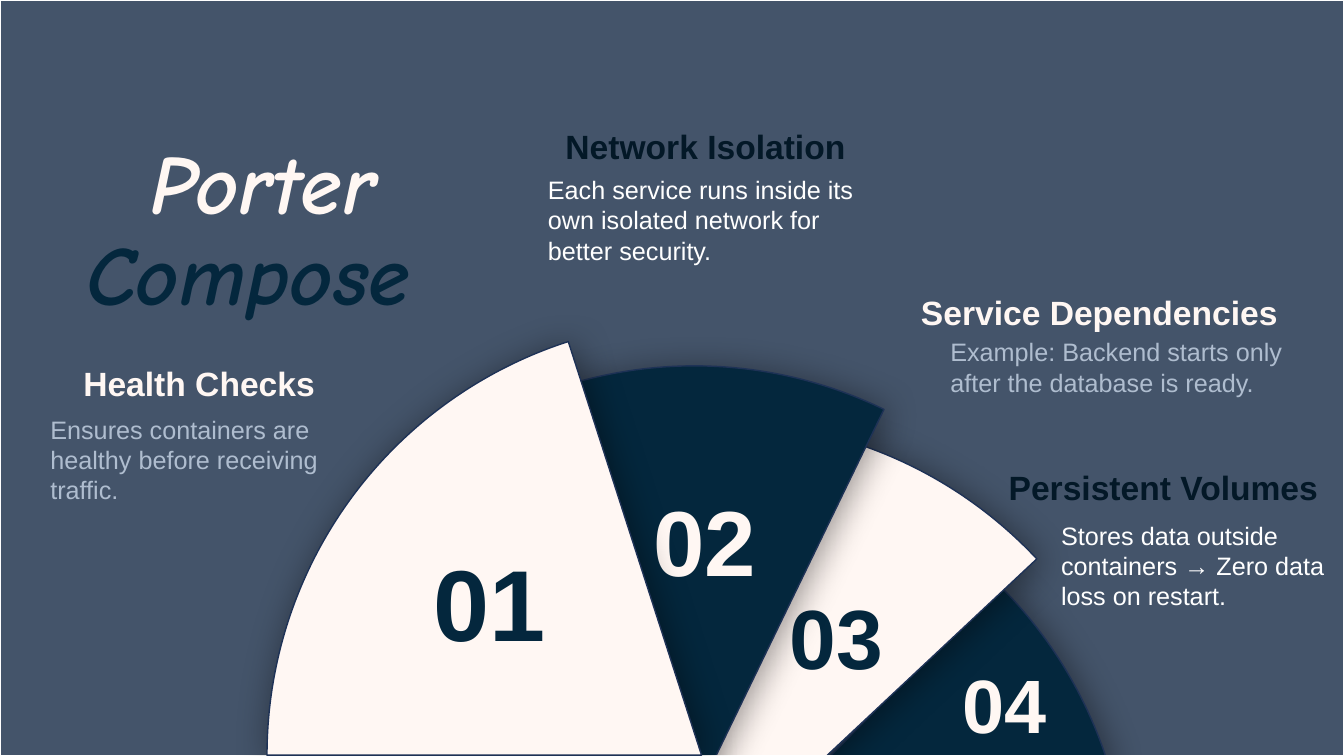
from dataclasses import dataclass

from lxml.etree import SubElement
from pptx import Presentation
from pptx.dml.color import RGBColor as Rgb
from pptx.enum.shapes import MSO_SHAPE as Shape
from pptx.enum.text import MSO_ANCHOR as Anchor, MSO_AUTO_SIZE as AutoSize, PP_ALIGN as Align
from pptx.oxml.ns import qn
from pptx.util import Cm, Pt


@dataclass(frozen=True)
class Theme:
    """Colours, fonts and type sizes of the slide."""
    background: str = "44546A"
    navy: str = "04273D"
    cream: str = "FFF7F3"
    edge: str = "1E3256"
    ink: str = "031827"
    white: str = "FFFFFF"
    mist: str = "AFBDCF"
    font: str = "Arial"
    title_font: str = "Comic Neue"
    title_size: int = 60
    heading_size: int = 24
    body_size: int = 18


def write_text(para, text, *, size, color, font, bold=False, italic=False):
    """Add one formatted span to a paragraph."""
    span = para.add_run()
    span.text = text
    span.font.size = Pt(size)
    span.font.name = font
    span.font.bold = bold
    span.font.italic = italic
    span.font.color.rgb = Rgb.from_string(color)


class SlideBuilder:
    """Draws styled elements on one slide."""

    def __init__(self, deck, theme):
        self.theme = theme
        self.slide = deck.slides.add_slide(deck.slide_layouts[5])
        fill = self.slide.background.fill
        fill.solid()
        fill.fore_color.rgb = Rgb.from_string(theme.background)

    def title(self, words, left, top, width, height):
        box = self.slide.shapes.title
        box.left, box.top, box.width, box.height = map(Cm, (left, top, width, height))
        frame = box.text_frame
        frame.word_wrap = True
        frame.auto_size = AutoSize.NONE
        frame.vertical_anchor = Anchor.MIDDLE
        para = frame.paragraphs[0]
        para.alignment = Align.CENTER
        para.line_spacing = 0.9
        for word, color in words:
            write_text(para, word, size=self.theme.title_size, color=color,
                       font=self.theme.title_font, bold=True, italic=True)

    def text(self, text, left, top, width, height, align=Align.LEFT, **style):
        box = self.slide.shapes.add_textbox(*map(Cm, (left, top, width, height)))
        frame = box.text_frame
        frame.word_wrap = True
        frame.auto_size = AutoSize.SHAPE_TO_FIT_TEXT
        para = frame.paragraphs[0]
        para.alignment = align
        write_text(para, text, font=self.theme.font, **style)

    def outline(self, shape, color):
        shape.shadow.inherit = False
        shape.line.color.rgb = Rgb.from_string(color)
        shape.line.width = Pt(1)

    def frame(self, width, height):
        border = self.slide.shapes.add_shape(Shape.RECTANGLE, 0, 0, width, height)
        border.fill.background()
        self.outline(border, self.theme.white)

    def wedge(self, left, top, diameter, start, end, color):
        pie = self.slide.shapes.add_shape(Shape.PIE, *map(Cm, (left, top, diameter, diameter)))
        for index, degrees in enumerate((start, end)):
            pie.adjustments[index] = degrees * 0.6
        pie.fill.solid()
        pie.fill.fore_color.rgb = Rgb.from_string(color)
        self.outline(pie, self.theme.edge)
        self.soft_shadow(pie)

    def soft_shadow(self, shape):
        effects = shape.element.spPr.find(qn("a:effectLst"))
        shadow = SubElement(effects, qn("a:outerShdw"), blurRad=str(Pt(25.5)),
                            dist=str(Pt(3)), dir=str(45 * 60000), rotWithShape="0")
        color = SubElement(shadow, qn("a:srgbClr"), val="000000")
        SubElement(color, qn("a:alpha"), val="42000")

    def number(self, text, left, top, size, color):
        self.text(text, left, top, 9.19, 0.27 + size * 0.0425, align=Align.CENTER,
                  size=size, color=color, bold=True)

    def note(self, heading, heading_place, heading_color, body, body_place, body_color):
        self.text(body, *body_place, size=self.theme.body_size, color=body_color)
        self.text(heading, *heading_place, 1.27, size=self.theme.heading_size,
                  color=heading_color, bold=True)


def main():
    """Build and save the slide."""
    theme = Theme()
    deck = Presentation()
    deck.slide_width, deck.slide_height = Cm(33.87), Cm(19.05)
    page = SlideBuilder(deck, theme)
    page.title([("Porter ", theme.cream), ("Compose ", theme.navy)], -0.18, 3.45, 13.64, 4.83)

    light, dark = (theme.cream, theme.navy), (theme.navy, theme.cream)
    wedges = [
        ("04", (6.53, 11.58), (314.71, 343.34), (20.73, 16.46), 54, dark),
        ("03", (7.19, 10.62), (259.06, 316.87), (16.48, 14.63), 60, light),
        ("02", (6.55, 9.22), (253.2, 295.87), (13.16, 12.07), 66, dark),
        ("01", (6.73, 8.08), (180, 252.14), (7.75, 13.49), 72, light),
    ]
    for number, corner, angles, label_corner, size, (fill, ink) in wedges:
        if number == "01":
            page.frame(deck.slide_width, deck.slide_height)
        page.wedge(*corner, 21.9, *angles, fill)
        page.number(number, *label_corner, size, ink)

    pale, strong = (theme.cream, theme.mist), (theme.ink, theme.white)
    notes = [
        ("Health Checks", (1.85, 9.02, 7.29),
         "Ensures containers are healthy before receiving traffic.",
         (1.02, 10.31, 7.8, 2.57), pale),
        ("Network Isolation", (14, 3.05, 10.8),
         "Each service runs inside its own isolated network for better security.",
         (13.56, 4.27, 9.02, 2.57), strong),
        ("Persistent Volumes", (25.17, 11.63, 8.6),
         "Stores data outside containers → Zero data loss on restart.",
         (26.49, 12.98, 7.3, 2.57), strong),
        ("Service Dependencies", (22.96, 7.24, 9.75),
         "Example: Backend starts only after the database is ready.",
         (23.7, 8.36, 9.02, 1.8), pale),
    ]
    for heading, heading_place, body, body_place, (heading_color, body_color) in notes:
        page.note(heading, heading_place, heading_color, body, body_place, body_color)

    deck.save("out.pptx")


if __name__ == "__main__":
    main()
